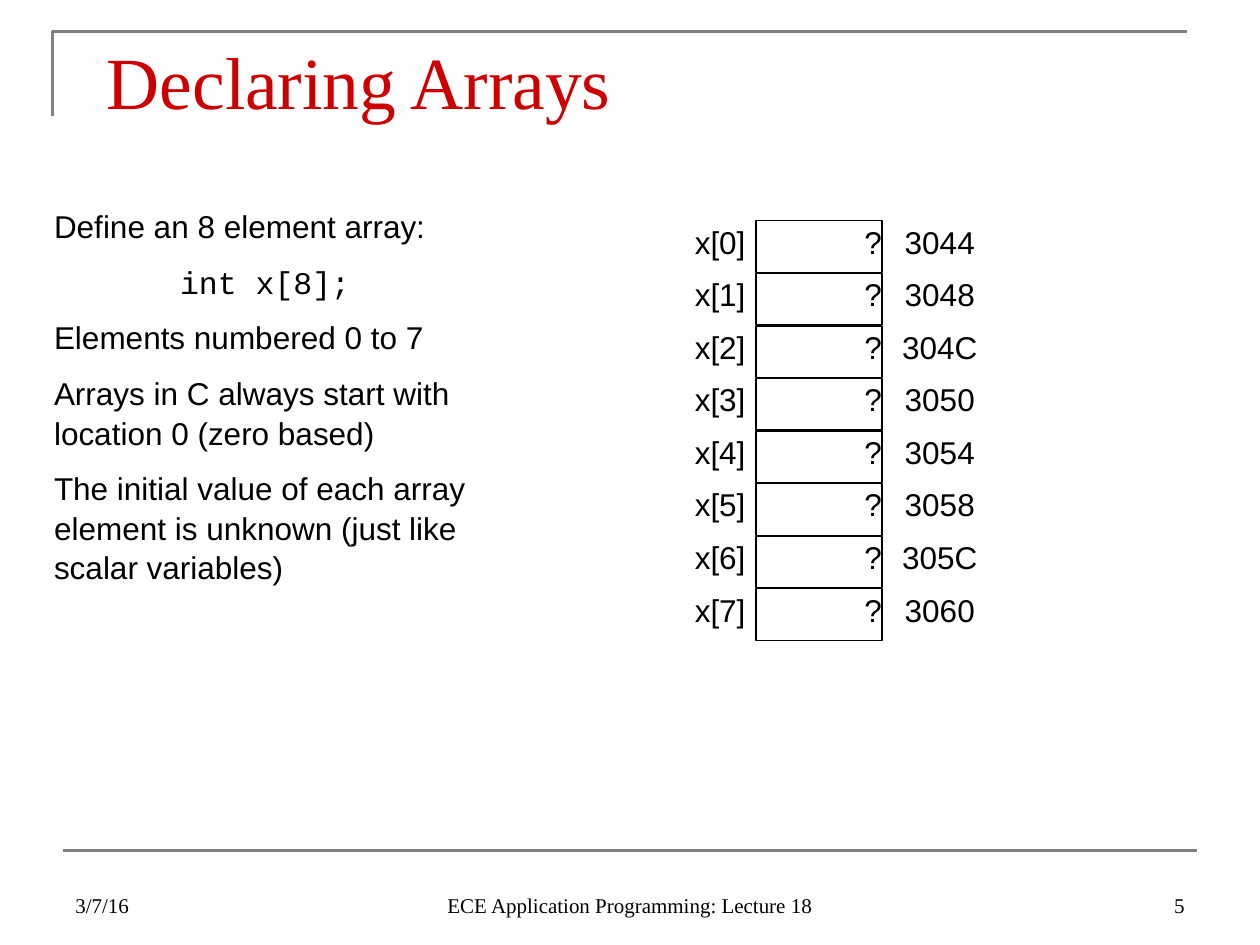
from dataclasses import dataclass

import pptx
import pptx.dml.color
import pptx.enum.shapes
import pptx.enum.text
import pptx.oxml.xmlchemy
import pptx.util
from lxml import etree
from pptx.oxml import ns
from pptx.shapes.autoshape import Shape
from pptx.slide import Slide
from pptx.text.text import TextFrame
from pptx.util import Cm, Length, Pt

RED = pptx.dml.color.RGBColor(0xCC, 0x00, 0x00)
GRAY = pptx.dml.color.RGBColor(0x80, 0x80, 0x80)
BLACK = pptx.dml.color.RGBColor(0x00, 0x00, 0x00)

ALIGN = pptx.enum.text.PP_ALIGN
ANCHOR = pptx.enum.text.MSO_ANCHOR

FIRST_ROW_TOP = Cm(4.45)
ROW_PITCH = Cm(1.06)
ROW_HEIGHT = Cm(1.04)
LINE_SPACING = 1.05


@dataclass(frozen=True)
class Column:
    left: Length
    width: Length
    align: ALIGN
    boxed: bool = False


@dataclass(frozen=True)
class FooterItem:
    text: str
    left: Length
    width: Length
    align: ALIGN


@dataclass(frozen=True)
class Element:
    label: str
    value: str
    address: str


COLUMNS = (
    Column(Cm(12.7), Cm(2.33), ALIGN.RIGHT),
    Column(Cm(15.24), Cm(2.54), ALIGN.RIGHT, boxed=True),
    Column(Cm(17.78), Cm(2.33), ALIGN.CENTER),
)
ELEMENTS = [Element(f"x[{i}]", "?", f"{0x3044 + 4 * i:X}") for i in range(8)]
FOOTER = (
    FooterItem("3/7/16", Cm(1.27), Cm(5.93), ALIGN.LEFT),
    FooterItem("ECE Application Programming: Lecture 18", Cm(8.68), Cm(8.04), ALIGN.CENTER),
    FooterItem("5", Cm(18.2), Cm(5.93), ALIGN.RIGHT),
)
DECLARATION = "\tint x[8];"
EXPLANATION = (
    "Define an 8 element array:",
    DECLARATION,
    "Elements numbered 0 to 7",
    "Arrays in C always start with location 0 (zero based)",
    "The initial value of each array element is unknown (just like scalar variables)",
)


def set_font(font: pptx.text.text.Font, name: str, size: float,
             color: pptx.dml.color.RGBColor = BLACK) -> None:
    font.name = name
    font.size = Pt(size)
    font.color.rgb = color


def remove_insets(frame: TextFrame) -> None:
    frame.margin_left = frame.margin_right = 0
    frame.margin_top = frame.margin_bottom = 0


def draw_title(slide: Slide) -> None:
    title = slide.shapes.title
    title.left, title.top = Cm(1.9), Cm(0.43)
    title.width, title.height = Cm(21.6), Cm(1.48)
    frame = title.text_frame
    frame.text = "Declaring Arrays"
    frame.auto_size = pptx.enum.text.MSO_AUTO_SIZE.NONE
    frame.vertical_anchor = ANCHOR.TOP
    frame.margin_top = Cm(0.3)
    paragraph = frame.paragraphs[0]
    paragraph.alignment = ALIGN.LEFT
    set_font(paragraph.font, "Times New Roman", 42, RED)


def draw_rules(slide: Slide) -> None:
    builder = slide.shapes.build_freeform(Cm(1.06), Cm(2.33))
    builder.add_line_segments([(Cm(1.06), Cm(0.64)), (Cm(23.92), Cm(0.64))], close=False)
    corner = builder.convert_to_shape()
    corner.shadow.inherit = False
    corner.fill.background()
    footer_rule = slide.shapes.add_connector(
        pptx.enum.shapes.MSO_CONNECTOR.STRAIGHT, Cm(1.27), Cm(17.15), Cm(24.13), Cm(17.15))
    etree.SubElement(footer_rule._element.spPr, ns.qn("a:effectLst"))
    for rule in (corner, footer_rule):
        rule.line.color.rgb = GRAY
        rule.line.width = Pt(1.5)


def add_cell(slide: Slide, column: Column, top: Length) -> Shape:
    area = column.left, top, column.width, ROW_HEIGHT
    if not column.boxed:
        return slide.shapes.add_textbox(*area)
    cell = slide.shapes.add_shape(pptx.enum.shapes.MSO_SHAPE.RECTANGLE, *area)
    cell.shadow.inherit = False
    cell.fill.background()
    cell.line.color.rgb = BLACK
    cell.line.width = Pt(0.75)
    return cell


def draw_element(slide: Slide, element: Element, top: Length) -> None:
    for column, text in zip(COLUMNS, (element.label, element.value, element.address)):
        frame = add_cell(slide, column, top).text_frame
        remove_insets(frame)
        frame.word_wrap = True
        frame.vertical_anchor = ANCHOR.TOP
        paragraph = frame.paragraphs[0]
        paragraph.text = text
        paragraph.alignment = column.align
        paragraph.line_spacing = LINE_SPACING
        set_font(paragraph.font, "Arial", 18)


def draw_explanation(slide: Slide) -> None:
    frame = slide.shapes.add_textbox(Cm(0.84), Cm(4.02), Cm(9.74), Cm(7.95)).text_frame
    frame.word_wrap = True
    for index, text in enumerate(EXPLANATION):
        paragraph = frame.add_paragraph() if index else frame.paragraphs[0]
        paragraph.text = text
        paragraph.line_spacing = LINE_SPACING
        if index:
            paragraph.space_before = Pt(9)
        if text == DECLARATION:
            tabs = etree.SubElement(paragraph._p.get_or_add_pPr(), ns.qn("a:tabLst"))
            etree.SubElement(tabs, ns.qn("a:tab"), pos=str(Cm(2.54)), algn="l")
        set_font(paragraph.font, "Courier New" if text == DECLARATION else "Arial", 18)


def draw_footer_item(slide: Slide, item: FooterItem) -> None:
    frame = slide.shapes.add_textbox(item.left, Cm(17.35), item.width, Cm(1.27)).text_frame
    frame.word_wrap = True
    frame.vertical_anchor = ANCHOR.BOTTOM
    paragraph = frame.paragraphs[0]
    paragraph.text = item.text
    paragraph.alignment = item.align
    set_font(paragraph.font, "Times New Roman", 12)


def main() -> None:
    presentation = pptx.Presentation()
    presentation.slide_width, presentation.slide_height = Cm(25.4), Cm(19.05)
    slide = presentation.slides.add_slide(presentation.slide_layouts[5])
    draw_rules(slide)
    draw_title(slide)
    for row, element in enumerate(ELEMENTS):
        draw_element(slide, element, FIRST_ROW_TOP + row * ROW_PITCH)
    draw_explanation(slide)
    for item in FOOTER:
        draw_footer_item(slide, item)
    presentation.save("out.pptx")


if __name__ == "__main__":
    main()
